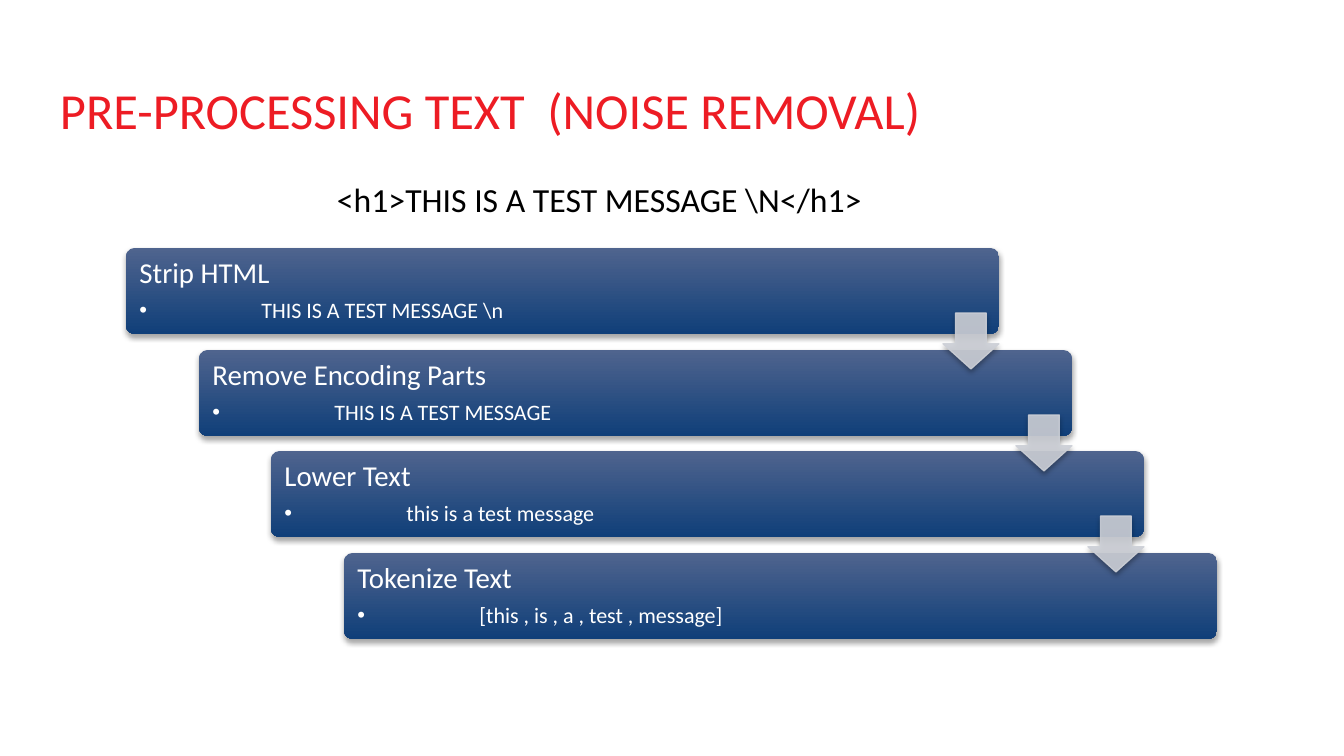
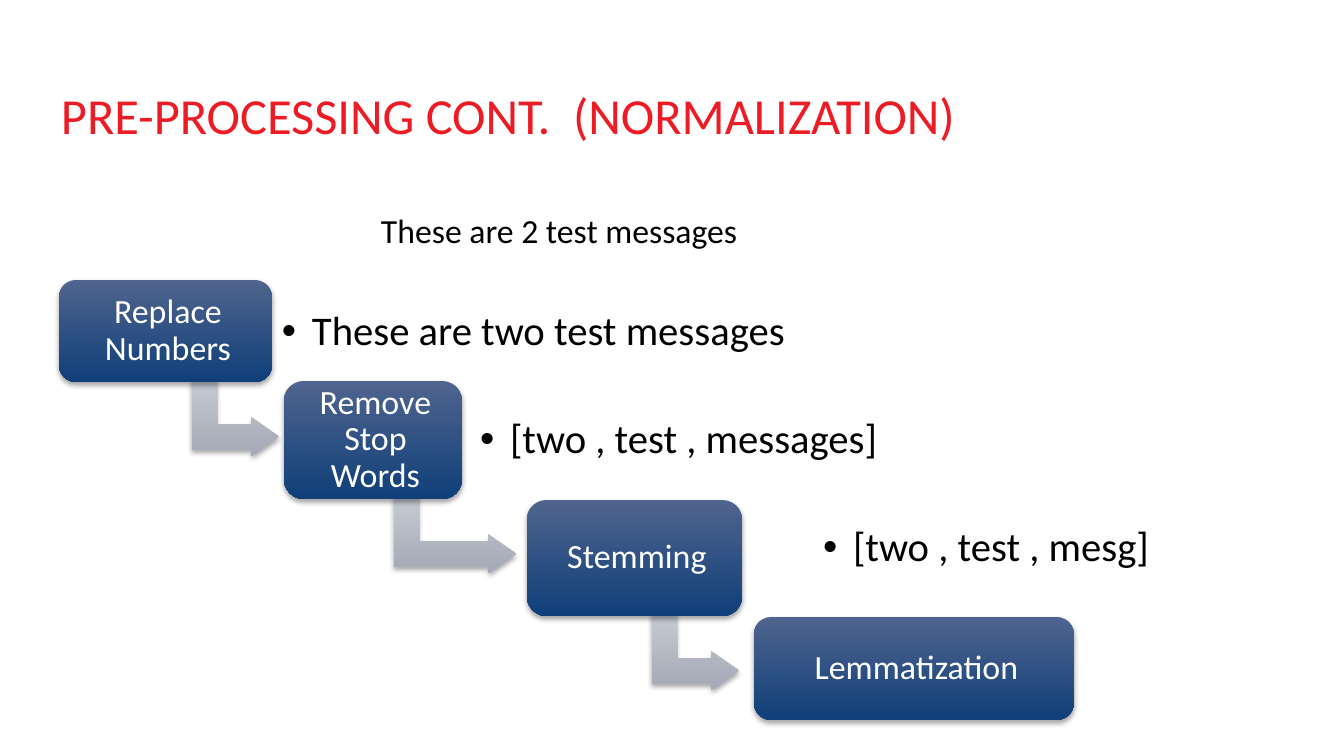
"""Build two slides on pre-processing text: noise removal and normalization."""
from lxml import etree
from pptx import Presentation
from pptx.dml.color import RGBColor
from pptx.enum.shapes import MSO_SHAPE
from pptx.enum.text import MSO_ANCHOR, MSO_AUTO_SIZE, PP_ALIGN
from pptx.oxml.ns import qn
from pptx.util import Emu, Pt

ROUND_RECT = MSO_SHAPE.ROUNDED_RECTANGLE
DOWN_ARROW = MSO_SHAPE.DOWN_ARROW
BENT_ARROW = MSO_SHAPE.BENT_UP_ARROW
TOP, MIDDLE = MSO_ANCHOR.TOP, MSO_ANCHOR.MIDDLE
LEFT, CENTER = PP_ALIGN.LEFT, PP_ALIGN.CENTER
NO_FIT = MSO_AUTO_SIZE.NONE

PX_PER_INCH = 122
FONT = "Calibri"
COLORS = {
    "title": "ED1C24",
    "text": "000000",
    "light": "FFFFFF",
    "box_top": "4F648E",
    "box_bottom": "103F79",
    "bend_top": "C6CAD3",
    "bend_bottom": "A4A9B5",
    "arrow": "CDD0D7",
    "shadow": "000000",
}
BOX_FILL = ("box_top", "box_bottom")
BEND_FILL = ("bend_top", "bend_bottom")


def px(n):
    """Turn px into EMU."""
    return Emu(round(n * 914400 / PX_PER_INCH))


def rgb(name):
    """Look up a colour by name."""
    return RGBColor.from_string(COLORS[name])


def set_frame(tf, insets, anchor=MIDDLE, wrap=True):
    """Set insets (left, top, right, bottom), anchor and wrapping."""
    tf.auto_size = NO_FIT
    tf.word_wrap = wrap
    tf.vertical_anchor = anchor
    tf.margin_left, tf.margin_top, tf.margin_right, tf.margin_bottom = map(px, insets)


def write(p, text, size, color, align=LEFT, spacing=0.9, after=0):
    """Fill a paragraph and format its runs."""
    p.text = text
    p.alignment = align
    p.line_spacing = spacing
    p.space_before = Pt(0)
    p.space_after = Pt(after)
    for r in p.runs:
        r.font.name = FONT
        r.font.size = Pt(size)
        r.font.color.rgb = rgb(color)


def add_bullet(p, indent):
    """Give a paragraph a hanging round bullet and one-inch tabs."""
    p.level = 1
    pPr = p._p.get_or_add_pPr()
    pPr.set("marL", str(px(indent)))
    pPr.set("indent", str(-px(indent)))
    pPr.set("defTabSz", str(px(PX_PER_INCH)))
    etree.SubElement(pPr, qn("a:buFont"), typeface="Arial")
    etree.SubElement(pPr, qn("a:buChar"), char="•")


def add_shape(slide, kind, box, adjustments):
    """Add a preset shape without a line and with a soft shadow below."""
    sp = slide.shapes.add_shape(kind, *map(px, box))
    for i, value in enumerate(adjustments):
        sp.adjustments[i] = value
    sp.line.fill.background()
    sp.shadow.inherit = False
    effects = sp._element.spPr.find(qn("a:effectLst"))
    shadow = etree.SubElement(effects, qn("a:outerShdw"), blurRad=str(Pt(3.1)),
                              dist=str(Pt(1.8)), dir="5400000", rotWithShape="0")
    clr = etree.SubElement(shadow, qn("a:srgbClr"), val=COLORS["shadow"])
    etree.SubElement(clr, qn("a:alpha"), val="35000")
    return sp


def fill_gradient(sp, names):
    """Fill a shape from top to bottom, whatever its rotation."""
    sp.fill.gradient()
    sp.fill.gradient_angle = 270
    for stop, name, position in zip(sp.fill.gradient_stops, names, (0, 1)):
        stop.color.rgb = rgb(name)
        stop.position = position
    sp._element.spPr.find(qn("a:gradFill")).set("rotWithShape", "0")


def add_title_slide(prs, title, box):
    """Add a title-only slide with its red title."""
    slide = prs.slides.add_slide(prs.slide_layouts[5])
    sp = slide.shapes.title
    sp.left, sp.top, sp.width, sp.height = map(px, box)
    set_frame(sp.text_frame, (12, 6, 12, 6))
    write(sp.text_frame.paragraphs[0], title, 29.8, "title")
    return slide


def add_caption(slide, text, box):
    """Add the sample message above the steps."""
    tf = slide.shapes.add_textbox(*map(px, box)).text_frame
    set_frame(tf, (12, 6, 12, 6), TOP, False)
    write(tf.paragraphs[0], text, 19.9, "text", spacing=1.0)


def add_step_bar(slide, heading, result, box):
    """Add a wide bar with a heading and its bulleted result."""
    sp = add_shape(slide, ROUND_RECT, box, [0.1])
    fill_gradient(sp, BOX_FILL)
    tf = sp.text_frame
    set_frame(tf, (11, 11, 9, 11))
    write(tf.paragraphs[0], heading, 17, "light", after=6)
    p = tf.add_paragraph()
    write(p, "\t" + result, 13, "light", after=2)
    add_bullet(p, 15)


def add_down_arrow(slide, box):
    """Add a translucent arrow that leads to the next bar."""
    sp = add_shape(slide, DOWN_ARROW, box, [0.55, 0.45])
    sp.fill.solid()
    sp.fill.fore_color.rgb = rgb("arrow")
    sp.line.color.rgb = rgb("arrow")
    sp.line.width = Pt(0.75)
    for clr in sp._element.spPr.findall(".//" + qn("a:solidFill") + "/" + qn("a:srgbClr")):
        etree.SubElement(clr, qn("a:alpha"), val="90000")


def add_bar_stairs(slide, steps, box):
    """Spread equal bars diagonally over a box, with arrows between them."""
    x, y, w, h = box
    bar_w, bar_h, arrow = 873, 86, 56
    gaps = len(steps) - 1
    spots = [(x + round(i * (w - bar_w) / gaps), y + round(i * (h - bar_h) / gaps))
             for i in range(len(steps))]
    for (heading, result), (left, top) in zip(steps, spots):
        add_step_bar(slide, heading, result, (left, top, bar_w, bar_h))
    for left, top in spots[:-1]:
        add_down_arrow(slide, (left + bar_w - arrow, top + 65, arrow, arrow))


def add_bend(slide, box):
    """Add an arrow that goes down and then right within a box."""
    x, y, w, h = box
    shift = (w - h) / 2
    sp = add_shape(slide, BENT_ARROW, (x + shift, y - shift, h, w), [0.328, 0.25, 0.358])
    sp.rotation = 90
    fill_gradient(sp, BEND_FILL)


def add_step_box(slide, text, box):
    """Add a rounded box that names a step."""
    sp = add_shape(slide, ROUND_RECT, box, [0.167])
    fill_gradient(sp, BOX_FILL)
    set_frame(sp.text_frame, (15, 15, 10, 15))
    write(sp.text_frame.paragraphs[0], text, 20, "light", CENTER, after=7)


def add_result(slide, text, box):
    """Add the bulleted result beside a step."""
    tf = slide.shapes.add_textbox(*map(px, box)).text_frame
    set_frame(tf, (12, 12, 12, 12))
    write(tf.paragraphs[0], text, 24, "text", after=3.6)
    add_bullet(tf.paragraphs[0], 30)


def add_box_stairs(slide, steps, results, bends, top):
    """Add step boxes with a bend below and a result beside each but the last."""
    for (_, box), (x, w) in zip(steps, bends):
        add_bend(slide, (x, box[1] + box[3] - 3, w, 77))
    for text, box in steps:
        add_step_box(slide, text, box)
    for i, (text, x, w) in enumerate(results):
        add_result(slide, text, (x, top + 108 * i, w, 73))


def noise_removal(prs):
    """Build the slide on noise removal."""
    slide = add_title_slide(prs, "PRE-PROCESSING TEXT  (NOISE REMOVAL)", (48, 32, 1180, 163))
    steps = [
        ("Strip HTML", "THIS IS A TEST MESSAGE \\n"),
        ("Remove Encoding Parts", "THIS IS A TEST MESSAGE"),
        ("Lower Text", "this is a test message"),
        ("Tokenize Text", "[this , is , a , test , message]"),
    ]
    add_bar_stairs(slide, steps, (126, 248, 1091, 391))
    add_caption(slide, "<h1>THIS IS A TEST MESSAGE \\N</h1>", (325, 173, 700, 52))


def normalization(prs):
    """Build the slide on normalization."""
    slide = add_title_slide(prs, "PRE-PROCESSING CONT.  (NORMALIZATION)", (49, 37, 1219, 163))
    steps = [
        ("Replace Numbers", (59, 280, 213, 102)),
        ("Remove Stop Words", (284, 381, 178, 118)),
        ("Stemming", (527, 500, 215, 116)),
        ("Lemmatization", (754, 617, 320, 103)),
    ]
    results = [
        ("These are two test messages", 270, 717),
        ("[two , test , messages]", 468, 594),
        ("[two , test , mesg]", 811, 533),
    ]
    bends = [(192, 87), (394, 122), (652, 87)]
    add_box_stairs(slide, steps, results, bends, 296)
    add_caption(slide, "These are 2 test messages", (369, 204, 476, 52))


def main():
    """Build and save the presentation."""
    prs = Presentation()
    prs.slide_width, prs.slide_height = px(1344), px(756)
    noise_removal(prs)
    normalization(prs)
    prs.save("out.pptx")


if __name__ == "__main__":
    main()
